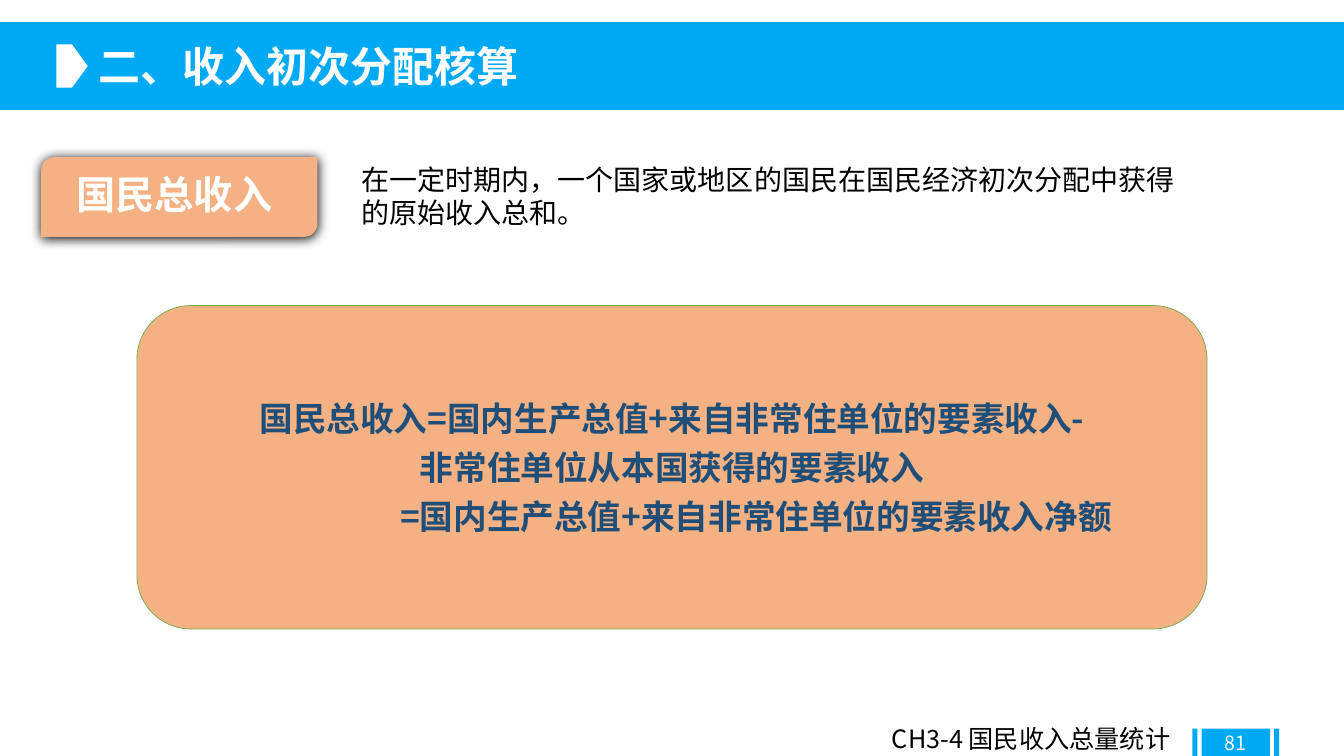
"""Builds a slide that defines gross national income."""
from dataclasses import dataclass

from lxml import etree
from pptx import Presentation
from pptx.dml.color import RGBColor
from pptx.enum.shapes import MSO_SHAPE
from pptx.enum.text import MSO_ANCHOR, PP_ALIGN
from pptx.oxml.ns import qn
from pptx.util import Cm, Pt

RECT = MSO_SHAPE.RECTANGLE
ARROW = MSO_SHAPE.PENTAGON
ROUND = MSO_SHAPE.ROUNDED_RECTANGLE
DIAG = MSO_SHAPE.ROUND_2_DIAG_RECTANGLE
TOP, MIDDLE = MSO_ANCHOR.TOP, MSO_ANCHOR.MIDDLE
LEFT, CENTER = PP_ALIGN.LEFT, PP_ALIGN.CENTER


@dataclass(frozen=True)
class Theme:
    """Colours, type sizes and font of the slide."""
    font: str = "Noto Sans CJK SC"
    blue: str = "00A9F3"
    peach: str = "F4B183"
    green: str = "70AD47"
    navy: str = "1F4E79"
    white: str = "FFFFFF"
    black: str = "000000"
    title: int = 30
    label: int = 28
    sums: int = 24
    body: int = 20
    foot: int = 18
    page: int = 14


class Deck:
    """Holds the theme and the current slide."""

    def __init__(self, theme):
        """Start a wide deck with one title-only slide."""
        self.theme = theme
        self.prs = Presentation()
        self.prs.slide_width, self.prs.slide_height = Cm(33.87), Cm(19.05)
        self.slide = self.prs.slides.add_slide(self.prs.slide_layouts[5])

    def shape(self, kind, box, fill, line=None):
        """Add a filled preset shape."""
        item = self.slide.shapes.add_shape(kind, *map(Cm, box))
        item.shadow.inherit = False
        item.fill.solid()
        item.fill.fore_color.rgb = RGBColor.from_string(fill)
        if line:
            item.line.color.rgb = RGBColor.from_string(line)
            item.line.width = Pt(0.5)
        else:
            item.line.fill.background()
        return item

    def words(self, item, text, size, color, bold=False, align=LEFT,
              anchor=TOP, wrap=True):
        """Set and format the text of a shape."""
        frame = item.text_frame
        frame.text = text
        frame.word_wrap = wrap
        frame.vertical_anchor = anchor
        for para in frame.paragraphs:
            para.alignment = align
            for run in para.runs:
                font = run.font
                font.size, font.bold, font.name = Pt(size), bold, self.theme.font
                font.color.rgb = RGBColor.from_string(color)
                east = etree.SubElement(run._r.get_or_add_rPr(), qn("a:ea"))
                east.set("typeface", self.theme.font)
        return frame

    def text(self, box, *args, **style):
        """Add a text box."""
        item = self.slide.shapes.add_textbox(*map(Cm, box))
        return self.words(item, *args, **style)

    def title(self, box, text):
        """Place the title in front of the shapes drawn so far."""
        item = self.slide.shapes.title
        item.left, item.top, item.width, item.height = map(Cm, box)
        item.element.getparent().append(item.element)
        self.words(item, text, self.theme.title, self.theme.white,
                   bold=True, wrap=False)

    def glow(self, item):
        """Give a shape a soft dark shadow."""
        effects = item.element.spPr.find(qn("a:effectLst"))
        shade = etree.SubElement(effects, qn("a:outerShdw"), blurRad=str(Pt(8.5)),
                                 dist=str(Pt(1)), dir="5400000", rotWithShape="0")
        etree.SubElement(shade, qn("a:srgbClr"), val=self.theme.black)


def main():
    """Draw the slide and save it."""
    theme = Theme()
    deck = Deck(theme)

    deck.shape(RECT, (0, 0.56, 33.87, 2.21), theme.blue)
    for left, width in ((30.28, 1.73), (32.11, 0.13), (30.05, 0.13)):
        deck.shape(RECT, (left, 18.36, width, 0.69), theme.blue)
    deck.title((2.24, 0.89, 11.2, 1.55), "二、收入初次分配核算")
    deck.shape(ARROW, (1.42, 1.12, 0.79, 1.09), theme.white)

    deck.text((30.28, 18.21, 1.73, 1.02), "81", theme.page, theme.white,
              align=CENTER, anchor=MIDDLE)
    deck.text((22.23, 18.11, 7.87, 1.02), "CH3-4 国民收入总量统计",
              theme.foot, theme.black)

    label = deck.shape(DIAG, (1.04, 3.96, 6.96, 2.01), theme.peach)
    deck.glow(label)
    frame = deck.words(label, "国民总收入", theme.label, theme.white,
                       bold=True, anchor=MIDDLE)
    frame.margin_left = frame.margin_right = Cm(0.79)
    frame.margin_top = frame.margin_bottom = Cm(0.3)
    frame.paragraphs[0].line_spacing = 0.9

    panel = deck.shape(ROUND, (3.45, 7.7, 26.97, 8.15), theme.peach, theme.green)
    lines = ("国民总收入=国内生产总值+来自非常住单位的要素收入-",
             "非常住单位从本国获得的要素收入",
             "=国内生产总值+来自非常住单位的要素收入净额")
    frame = deck.words(panel, "\n".join(lines), theme.sums, theme.navy,
                       bold=True, align=CENTER, anchor=MIDDLE)
    for para in frame.paragraphs[1:]:
        para.space_before = Pt(6)
    frame.paragraphs[-1]._p.get_or_add_pPr().set("marL", str(Cm(4.23)))

    deck.text((8.86, 3.96, 21.16, 1.96),
              "在一定时期内，一个国家或地区的国民在国民经济初次分配中获得的原始收入总和。",
              theme.body, theme.black)
    deck.prs.save("out.pptx")


if __name__ == "__main__":
    main()
